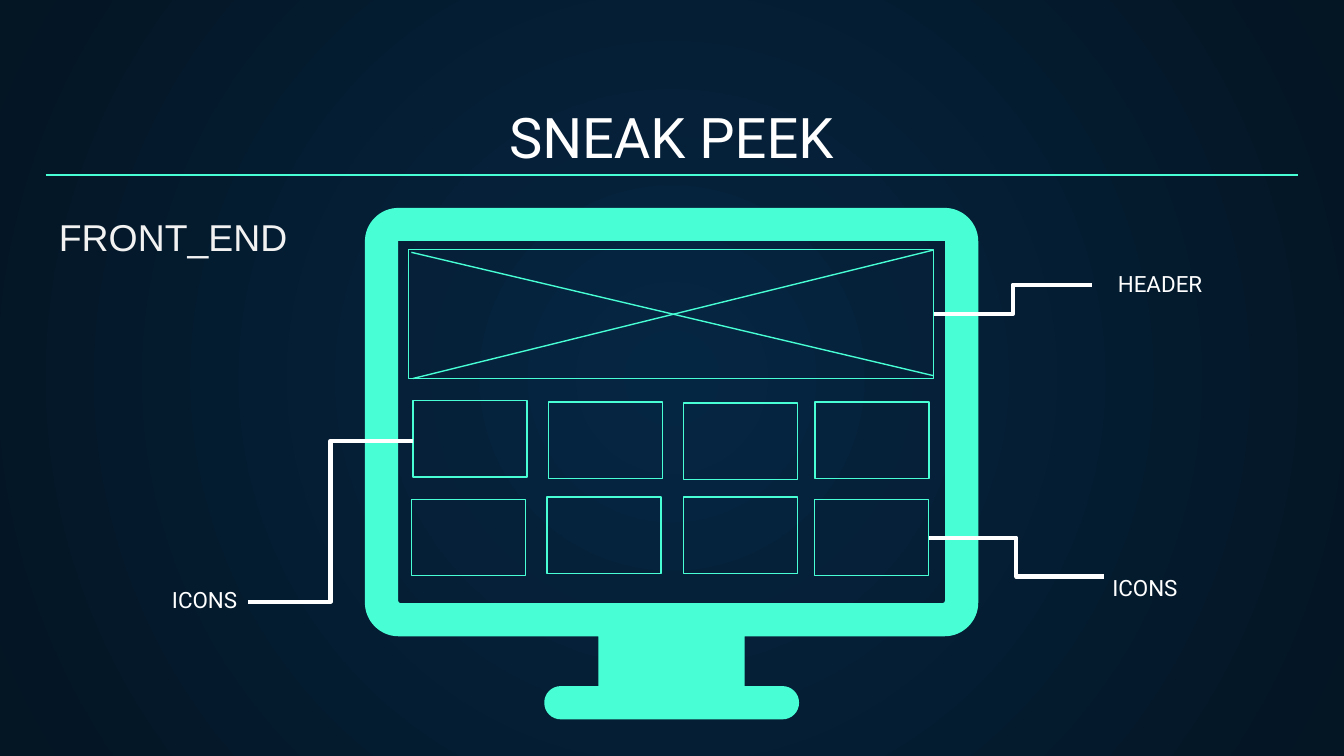
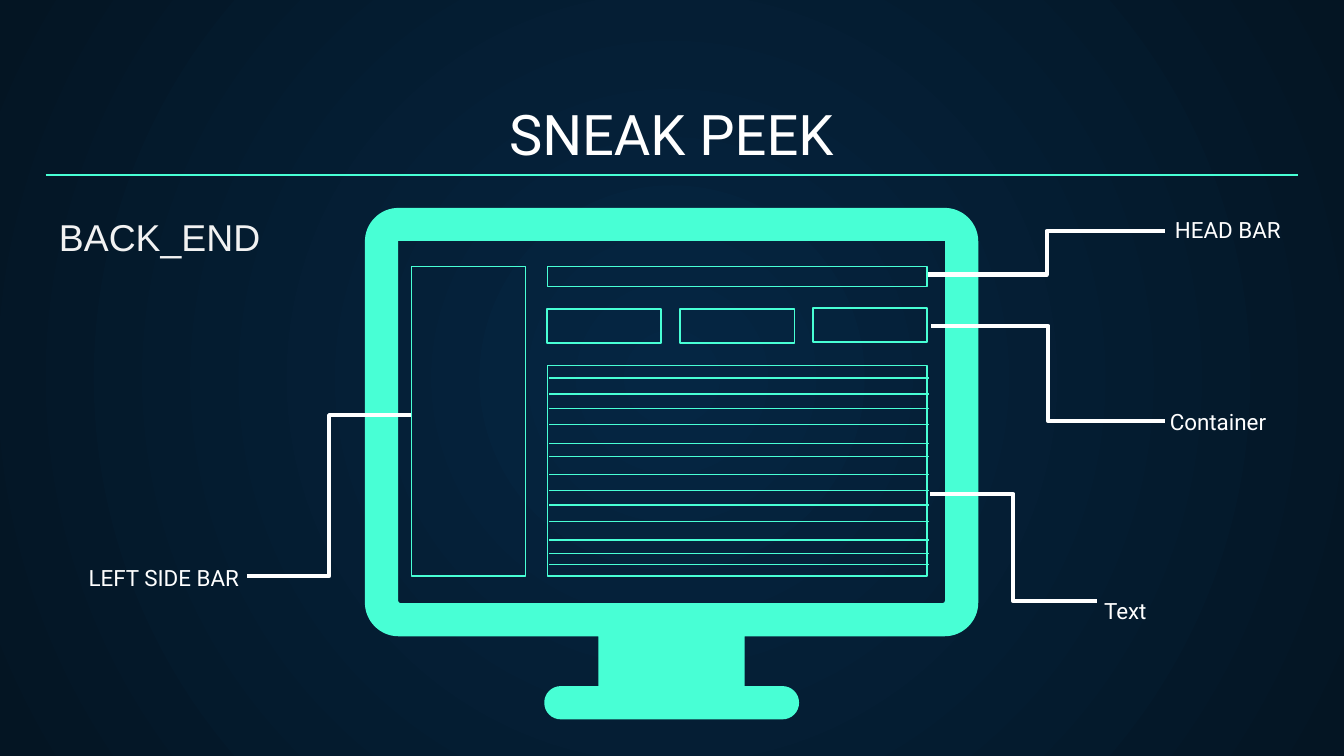
import math

from pptx import Presentation
from pptx import util as u
from pptx.dml.color import RGBColor
from pptx.enum import shapes, text
from pptx.oxml import ns, parse_xml

Pt = u.Pt
COLORS = {
    "glow": "052643",
    "edge": "041523",
    "mint": "48FFD5",
    "white": "FFFFFF",
    "soft": "F2F2F2",
}
LEFT, CENTER, RIGHT = (text.PP_ALIGN.LEFT, text.PP_ALIGN.CENTER,
                       text.PP_ALIGN.RIGHT)

# Monitor outlines: corner points with their radius
MONITOR = [
    (195.5, 111.4, 18), (524.1, 111.4, 18), (524.1, 340.9, 18),
    (398.9, 340.9, 0), (398.9, 367.6, 0), (428.1, 367.6, 8.8),
    (428.1, 385.4, 8.8), (291.6, 385.4, 8.8), (291.6, 367.6, 8.8),
    (320.6, 367.6, 0), (320.6, 340.9, 0), (195.5, 340.9, 18),
]
SCREEN = [(213.3, 129.1, 0), (213.3, 323.2, 1.4),
          (506.3, 323.2, 1.4), (506.3, 129.1, 0)]


def color(name):
    return RGBColor.from_string(COLORS[name])


def add_background(s):
    """Radial gradient, brighter in the middle."""
    fill = s.background.fill
    fill.gradient()
    for stop, name in zip(fill.gradient_stops, ("glow", "edge")):
        stop.color.rgb = color(name)
    lin = next(s.element.iter(ns.qn("a:lin")))
    lin.getparent().replace(lin, parse_xml(
        f'<a:path {ns.nsdecls("a")} path="circle">'
        '<a:fillToRect l="50000" t="50000" r="50000" b="50000"/></a:path>'))


def add_text(s, words, x, y, w, h, size=12, font="Roboto", tint="white",
             align=LEFT, anchor=text.MSO_ANCHOR.TOP, pad=7.2, spacing=None):
    sp = s.shapes.add_textbox(Pt(x), Pt(y), Pt(w), Pt(h))
    tf = sp.text_frame
    tf.word_wrap = True
    tf.vertical_anchor = anchor
    tf.margin_left = tf.margin_right = Pt(7.2)
    tf.margin_top = tf.margin_bottom = Pt(pad)
    p = tf.paragraphs[0]
    p.alignment = align
    if spacing:
        p.line_spacing = spacing
    r = p.add_run()
    r.text = words
    r.font.name = font
    r.font.size = Pt(size)
    r.font.color.rgb = color(tint)


def add_label(s, words, x, y, w=83.5, **style):
    add_text(s, words, x, y, w, 15.1, **style)


def add_line(s, x1, y1, x2, y2, kind=shapes.MSO_CONNECTOR.STRAIGHT,
             tint="mint", width=0.75):
    sp = s.shapes.add_connector(kind, Pt(x1), Pt(y1), Pt(x2), Pt(y2))
    sp.line.color.rgb = color(tint)
    sp.line.width = Pt(width)
    sp._element.spPr.append(parse_xml(f'<a:effectLst {ns.nsdecls("a")}/>'))


def add_callout(s, x1, y1, x2, y2):
    add_line(s, x1, y1, x2, y2, shapes.MSO_CONNECTOR.ELBOW, "white", 2.25)


def add_frame(s, x, y, w, h):
    sp = s.shapes.add_shape(shapes.MSO_SHAPE.RECTANGLE,
                            Pt(x), Pt(y), Pt(w), Pt(h))
    sp.shadow.inherit = False
    sp.fill.background()
    sp.line.color.rgb = color("mint")
    sp.line.width = Pt(0.75)


def rounded(corners):
    """Points of an outline, and where the control points of curves begin."""
    points, curves = [], []
    for i, (x, y, radius) in enumerate(corners):
        if not radius:
            points.append((x, y))
            continue
        sides = []
        for cx, cy, _ in (corners[i - 1], corners[(i + 1) % len(corners)]):
            d = math.hypot(cx - x, cy - y)
            sides.append((radius * (cx - x) / d, radius * (cy - y) / d))
        before, after = sides
        curves.append(len(points) + 1)
        for (dx, dy), k in ((before, 1), (before, 0.45),
                            (after, 0.45), (after, 1)):
            points.append((x + k * dx, y + k * dy))
    return points, curves


def add_monitor(s):
    fine = 100  # path units per point
    outer, outer_curves = rounded(MONITOR)
    inner, inner_curves = rounded(SCREEN)
    start, *rest = [(x * fine, y * fine) for x, y in outer]
    fb = s.shapes.build_freeform(*start, scale=Pt(1) / fine)
    fb.add_line_segments(rest, close=True)
    start, *rest = [(x * fine, y * fine) for x, y in inner]
    fb.move_to(*start)
    fb.add_line_segments(rest, close=True)
    sp = fb.convert_to_shape()

    # Join each pair of control points and its end into one curve
    nodes = list(next(sp._element.iter(ns.qn("a:path"))))
    offset = len(outer) + 1
    for i in outer_curves + [offset + k for k in inner_curves]:
        curve = parse_xml(f'<a:cubicBezTo {ns.nsdecls("a")}/>')
        nodes[i].addprevious(curve)
        for node in nodes[i:i + 3]:
            curve.append(node[0])
            node.getparent().remove(node)

    sp.shadow.inherit = False
    sp.fill.solid()
    sp.fill.fore_color.rgb = color("mint")
    sp.line.fill.background()


def add_base(prs, section, title_y):
    """Background, title, rule, section name and monitor."""
    s = prs.slides.add_slide(prs.slide_layouts[6])
    add_background(s)
    add_text(s, "SNEAK PEEK", 24.2, title_y, 671, 47.5, size=30,
             align=CENTER, anchor=text.MSO_ANCHOR.BOTTOM)
    add_monitor(s)
    add_line(s, 24.5, 93.8, 695.5, 93.8)
    add_text(s, section, 24.5, 111.2, 147, 31.5, size=20, font="Arial",
             tint="soft", pad=3.6)
    return s


def front_end(prs):
    s = add_base(prs, "FRONT_END", 50.8)

    # Header area with crossed diagonals
    add_frame(s, 218.8, 133.7, 281.4, 69.1)
    add_line(s, 220.4, 135.2, 500.2, 201.3)
    add_line(s, 221.2, 202.8, 499.9, 134)

    # Icon tiles
    tiles = [(221.2, 214.6), (293.9, 215.4), (366.2, 216), (436.6, 215.4),
             (220.4, 267.5), (293, 266.3), (366.2, 266.3), (436.3, 267.5)]
    for x, y in tiles:
        add_frame(s, x, y, 61.2, 41)

    # Callouts
    add_callout(s, 132.9, 322.5, 221.2, 236.2)
    add_callout(s, 500.2, 168.3, 585, 152.6)
    add_callout(s, 497.5, 288.1, 591.5, 308.9)
    add_label(s, "HEADER", 591.8, 137.6)
    add_label(s, "ICONS", 588.8, 286, spacing=2.0)
    add_label(s, "ICONS", 50.7, 306.7, align=RIGHT)


def back_end(prs):
    s = add_base(prs, "BACK_END", 49.2)

    # Side bar, head bar and containers
    add_frame(s, 220.4, 142.7, 61.2, 165.9)
    add_frame(s, 293.2, 142.7, 203.5, 10.8)
    for x, y in [(293, 165.5), (364.3, 165.5), (435.5, 165)]:
        add_frame(s, x, y, 61.2, 18.3)

    # Text area with its lines
    add_frame(s, 293.2, 195.8, 203.5, 112.8)
    for y in (202.5, 211.1, 218.8, 227.4, 237.5, 244.6, 254.1,
              262.8, 270.5, 279.3, 289.3, 296.5, 302.4):
        add_line(s, 294, y, 497.5, y)

    # Callouts
    add_callout(s, 132.3, 308.6, 220.4, 222.4)
    add_callout(s, 498.2, 264.7, 587.6, 322.2)
    add_callout(s, 499, 174.7, 624.2, 225.7)
    add_callout(s, 497.3, 147.1, 624.2, 123.8)
    add_label(s, "Text", 584.4, 298.3, spacing=2.0)
    add_label(s, "LEFT SIDE BAR", 25.2, 294.9, w=110, align=RIGHT)
    add_label(s, "Container", 619.6, 211.2)
    add_label(s, "HEAD BAR", 622.4, 108.6)


def main():
    prs = Presentation()
    prs.slide_width, prs.slide_height = Pt(720), Pt(405)
    front_end(prs)
    back_end(prs)
    prs.save("out.pptx")


if __name__ == "__main__":
    main()
